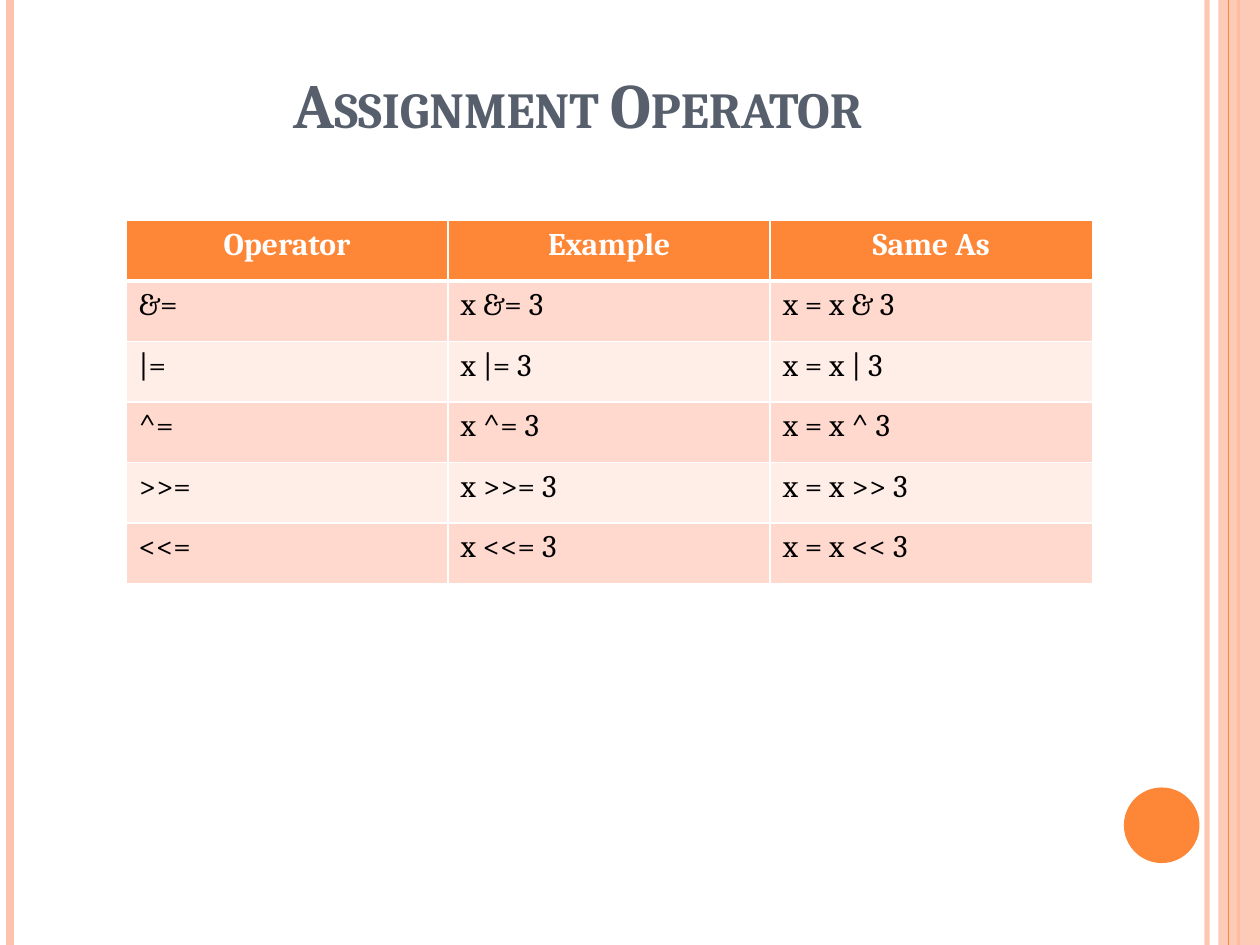
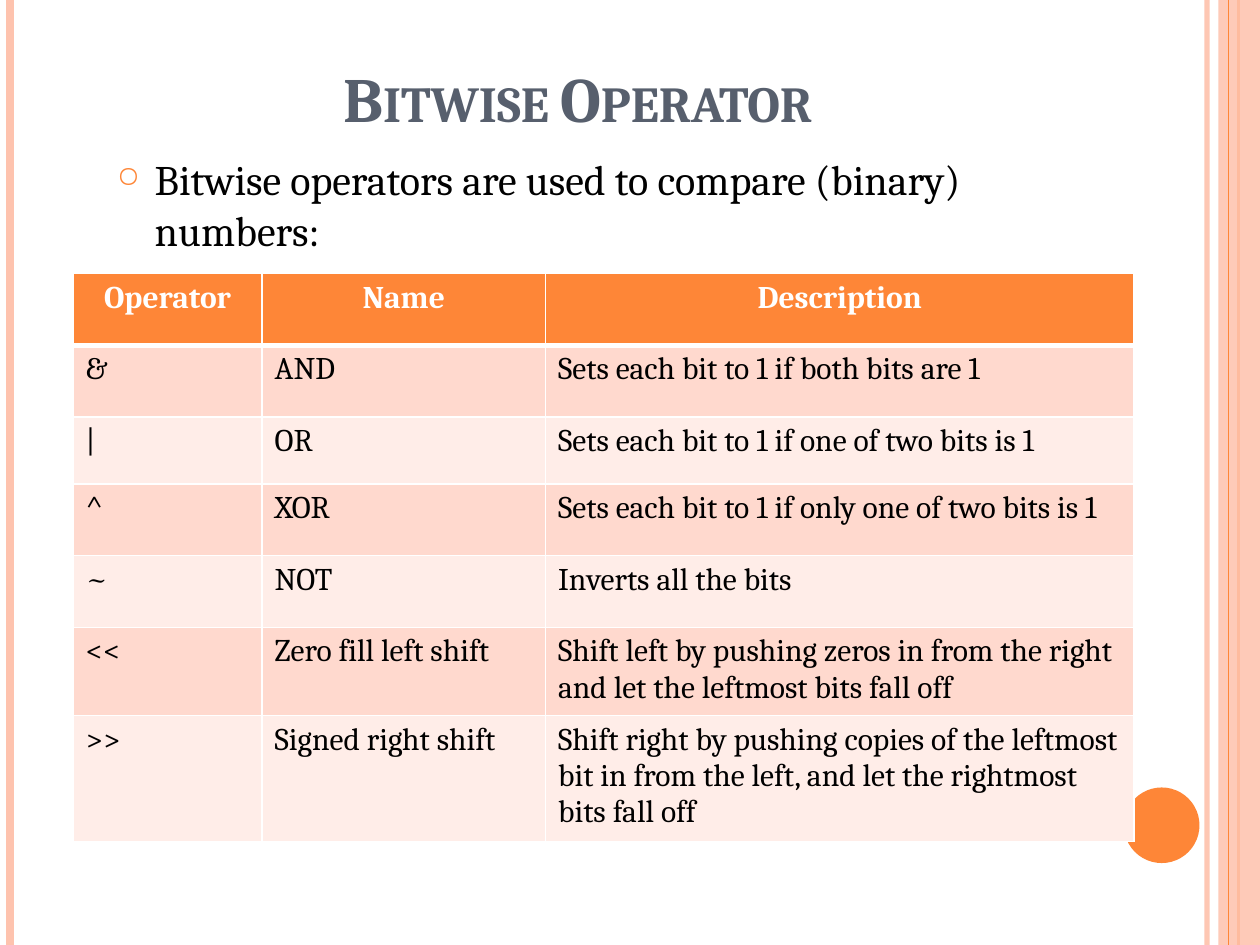
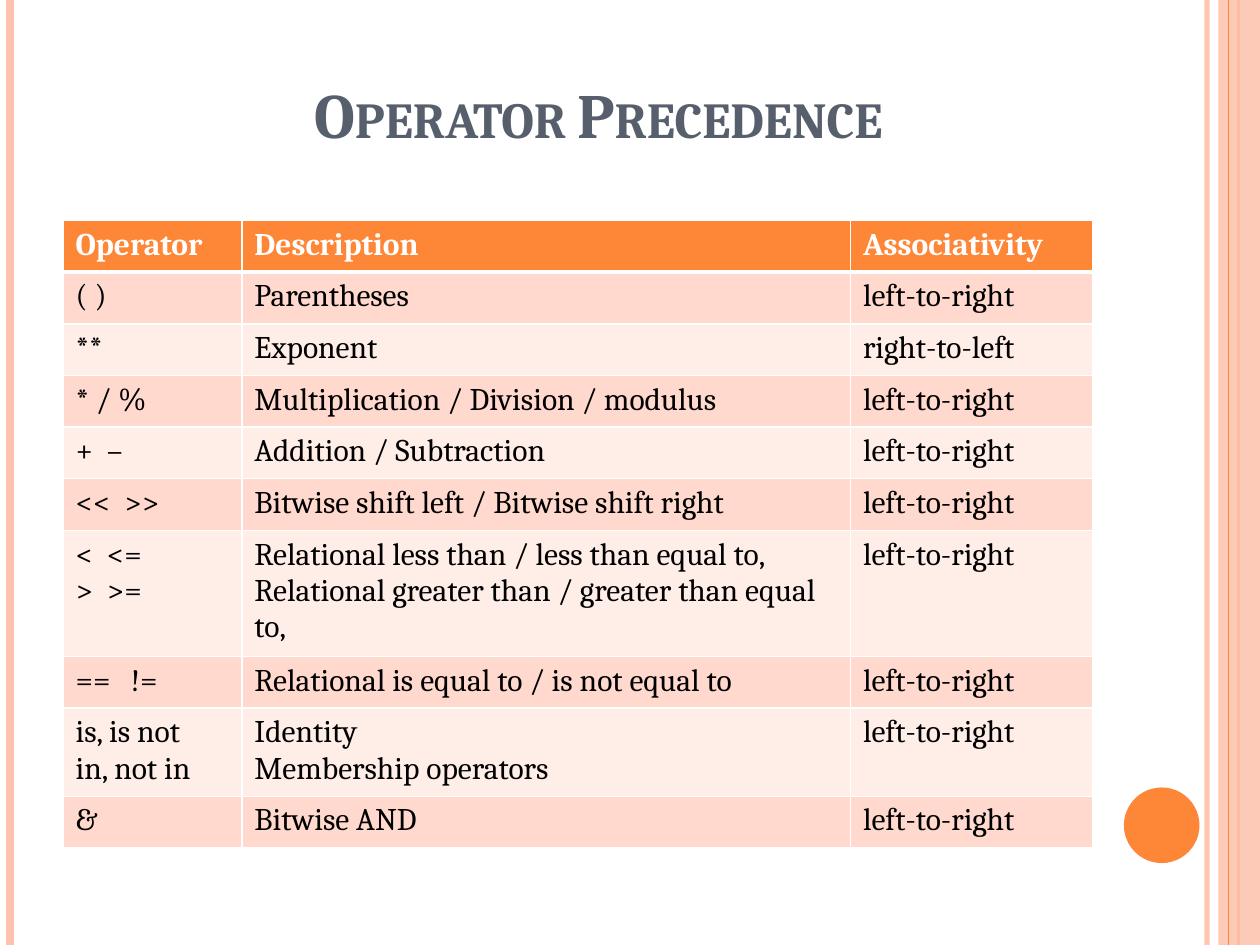
from lxml.etree import SubElement
from pptx import Presentation
from pptx.dml.color import RGBColor
from pptx.enum.shapes import MSO_CONNECTOR, MSO_SHAPE
from pptx.enum.text import MSO_ANCHOR, PP_ALIGN
from pptx.oxml.ns import qn
from pptx.util import Inches, Pt

HUES = {
    "orange": "FE8637", "peach": "FEC3AE", "slate": "575F6D",
    "dark": "FFD9CE", "light": "FFEDE8", "white": "FFFFFF", "black": "000000",
}
WIDE, HIGH = 10, 7.5


def paint(fill, hue, alpha=None):
    """Fill with a named colour, alpha being its opacity in percent."""
    fill.solid()
    fill.fore_color.rgb = RGBColor.from_string(HUES[hue])
    if alpha:
        color = next(fill._xPr.iter(qn("a:srgbClr")))
        SubElement(color, qn("a:alpha"), val=str(alpha * 1000))


class Deck:
    font = "Cambria"

    def __init__(self):
        self.prs = Presentation()
        self.prs.slide_width, self.prs.slide_height = Inches(WIDE), Inches(HIGH)
        self.slide = None

    def start(self):
        """Add a slide with the side bands and the disc."""
        self.slide = self.prs.slides.add_slide(self.prs.slide_layouts[6])
        self.rule(9.58, "peach", 3, 93)
        self.rule(0.08, "peach", 4.5)
        self.rule(9.83, "orange", 1.5)
        self.shape(MSO_SHAPE.RECTANGLE, (9.67, 0, 0.33, HIGH), "peach", 87)
        self.rule(9.75, "orange", 0.75)
        self.shape(MSO_SHAPE.OVAL, (8.92, 6.25, 0.6, 0.6), "orange")

    def rule(self, left, hue, width, alpha=None):
        """Draw a line down the full height of the slide."""
        line = self.slide.shapes.add_connector(
            MSO_CONNECTOR.STRAIGHT, Inches(left), 0, Inches(left), Inches(HIGH))
        line.line.width = Pt(width)
        paint(line.line.fill, hue, alpha)
        SubElement(line._element.spPr, qn("a:effectLst"))

    def shape(self, kind, area, hue, alpha=None):
        shape = self.slide.shapes.add_shape(kind, *map(Inches, area))
        shape.shadow.inherit = False
        shape.line.fill.background()
        paint(shape.fill, hue, alpha)

    def text(self, para, words, size, hue, bold=False):
        run = para.add_run()
        run.text = words
        run.font.name, run.font.size, run.font.bold = self.font, Pt(size), bold
        paint(run.font.fill, hue)
        return run

    def box(self, area):
        frame = self.slide.shapes.add_textbox(*map(Inches, area)).text_frame
        frame.word_wrap = True
        return frame

    def title(self, words, area):
        frame = self.box(area)
        frame.vertical_anchor = MSO_ANCHOR.BOTTOM
        para = frame.paragraphs[0]
        para.alignment = PP_ALIGN.CENTER
        run = self.text(para, words, 36, "slate", True)
        run._r.get_or_add_rPr().set("cap", "small")

    def bullet(self, words, area):
        para = self.box(area).paragraphs[0]
        props = para._p.get_or_add_pPr()
        props.set("marL", str(Inches(0.3)))
        props.set("indent", str(-Inches(0.3)))
        color = SubElement(props, qn("a:buClr"))
        SubElement(color, qn("a:srgbClr"), val=HUES["orange"])
        SubElement(props, qn("a:buSzPct"), val="70000")
        SubElement(props, qn("a:buChar"), char="○")
        self.text(para, words, 24, "black")

    def border(self, cell, row):
        """Edge a cell in white, with a thick line below the header."""
        props = cell._tc.get_or_add_tcPr()
        thick = {0: "lnB", 1: "lnT"}.get(row)
        for side in ("lnL", "lnR", "lnT", "lnB"):
            width = Pt(3 if side == thick else 1)
            edge = SubElement(props, qn("a:" + side), w=str(width))
            solid = SubElement(edge, qn("a:solidFill"))
            SubElement(solid, qn("a:srgbClr"), val=HUES["white"])

    def table(self, rows, spot, widths, heights, align=PP_ALIGN.CENTER):
        """Add a table; align places the header, and a line break starts a paragraph."""
        area = (*spot, sum(widths), sum(heights))
        table = self.slide.shapes.add_table(
            len(rows), len(widths), *map(Inches, area)).table
        table.first_row = table.horz_banding = False
        for col, width in zip(table.columns, widths):
            col.width = Inches(width)
        for row, height in zip(table.rows, heights):
            row.height = Inches(height)
        for r, texts in enumerate(rows):
            head = r == 0
            back = "orange" if head else "dark" if r % 2 else "light"
            for c, words in enumerate(texts):
                cell = table.cell(r, c)
                self.border(cell, r)
                paint(cell.fill, back)
                frame = cell.text_frame
                for i, part in enumerate(words.split("\n")):
                    para = frame.add_paragraph() if i else frame.paragraphs[0]
                    para.alignment = align if head else PP_ALIGN.LEFT
                    self.text(para, part, 18, "white" if head else "black", head)


def assign(deck):
    deck.start()
    deck.title("Assignment Operator", (0.5, 0.3, 8.17, 0.87))
    signs = ["&", "|", "^", ">>", "<<"]
    rows = [("Operator", "Example", "Same As")]
    rows += [(f"{s}=", f"x {s}= 3", f"x = x {s} 3") for s in signs]
    deck.table(rows, (1, 1.75), [7.67 / 3] * 3, [0.48] * len(rows))


def bitwise(deck):
    deck.start()
    deck.title("Bitwise Operator", (0.5, 0.25, 8.17, 0.87))
    deck.bullet("Bitwise operators are used to compare (binary) numbers:",
                (0.83, 1.17, 7.83, 0.92))
    rows = [
        ("Operator", "Name", "Description"),
        ("&", "AND", "Sets each bit to 1 if both bits are 1"),
        ("|", "OR", "Sets each bit to 1 if one of two bits is 1"),
        ("^", "XOR", "Sets each bit to 1 if only one of two bits is 1"),
        ("~", "NOT", "Inverts all the bits"),
        ("<<", "Zero fill left shift",
         "Shift left by pushing zeros in from the right and let the leftmost "
         "bits fall off"),
        (">>", "Signed right shift",
         "Shift right by pushing copies of the leftmost bit in from the left, "
         "and let the rightmost bits fall off"),
    ]
    deck.table(rows, (0.58, 2.17), [1.5, 2.25, 4.67],
               [0.57, 0.57, 0.53, 0.57, 0.57, 0.53, 0.57])


def order(deck):
    deck.start()
    deck.title("Operator Precedence", (0.5, 0.3, 8.5, 0.95))
    ranks = [
        ("( )", "Parentheses"),
        ("**", "Exponent"),
        ("* / %", "Multiplication / Division / modulus"),
        ("+  –", "Addition / Subtraction"),
        ("<<  >>", "Bitwise shift left / Bitwise shift right"),
        ("<  <=\n>  >=", "Relational less than / less than equal to,\n"
                         "Relational greater than / greater than equal to,"),
        ("==   !=", "Relational is equal to / is not equal to"),
        ("is, is not\nin, not in", "Identity\nMembership operators"),
        ("&", "Bitwise AND"),
    ]
    rows = [("Operator", "Description", "Associativity")]
    rows += [(sign, words, "right-to-left" if sign == "**" else "left-to-right")
             for sign, words in ranks]
    deck.table(rows, (0.5, 1.75), [1.42, 4.83, 1.92], [0.41] * len(rows),
               PP_ALIGN.LEFT)


def main():
    deck = Deck()
    for build in (assign, bitwise, order):
        build(deck)
    deck.prs.save("out.pptx")


if __name__ == "__main__":
    main()
